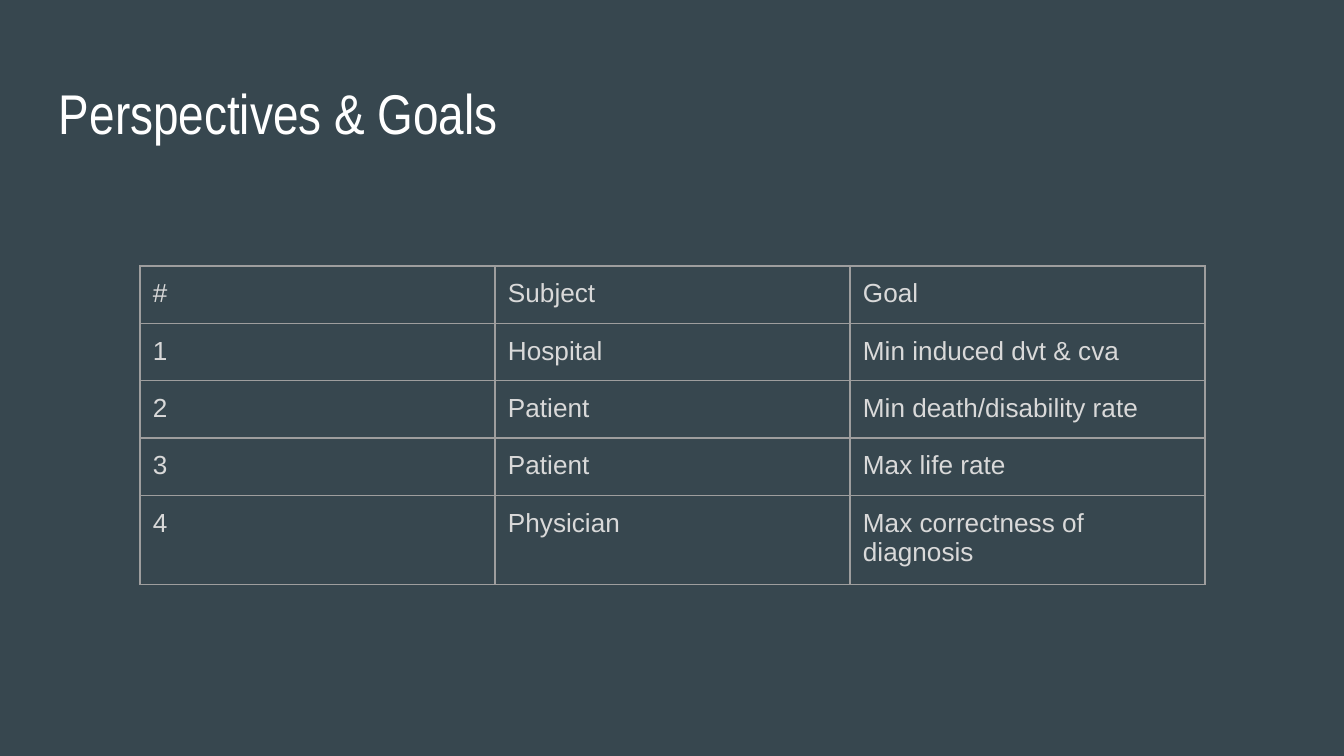
import pptx
import pptx.util
import pptx.dml.color
import pptx.enum.text
import pptx.oxml
import pptx.oxml.ns

SCALE = 914400 / 134.4  # EMU in one px


def px(n):
    return pptx.util.Emu(round(n * SCALE))


def color(hex):
    return pptx.dml.color.RGBColor.from_string(hex)


def write(frame, text, *, size, font, ink):
    frame.word_wrap = True
    run = frame.paragraphs[0].add_run()
    run.text = text
    run.font.size = pptx.util.Pt(size)
    run.font.name = font
    run.font.color.rgb = color(ink)


# Slide
deck = pptx.Presentation()
deck.slide_width, deck.slide_height = px(1344), px(756)
slide = deck.slides.add_slide(deck.slide_layouts[6])
slide.background.fill.solid()
slide.background.fill.fore_color.rgb = color("37474F")

# Title
PAD = px(13)
title = slide.shapes.add_textbox(px(46), px(66), px(1252), px(85)).text_frame
title.margin_left = title.margin_right = PAD
title.margin_top = title.margin_bottom = PAD
title.vertical_anchor = pptx.enum.text.MSO_ANCHOR.TOP
write(title, "Perspectives & Goals", size=30, font="Arial Narrow", ink="FFFFFF")

# Table
ROWS = [
    ("#", "Subject", "Goal"),
    ("1", "Hospital", "Min induced dvt & cva"),
    ("2", "Patient", "Min death/disability rate"),
    ("3", "Patient", "Max life rate"),
    ("4", "Physician", "Max correctness of diagnosis"),
]
WIDE, HIGH = 355, 56
table = slide.shapes.add_table(
    len(ROWS), 3, px(140), px(266), px(3 * WIDE), px(len(ROWS) * HIGH)
).table
table.first_row = table.horz_banding = False
for col in table.columns:
    col.width = px(WIDE)
for row in table.rows:
    row.height = px(HIGH)

# Cells, each with a thin border on all four sides
NS = pptx.oxml.ns.nsdecls("a")
for r, row in enumerate(ROWS):
    for c, text in enumerate(row):
        cell = table.cell(r, c)
        cell.margin_left = cell.margin_right = PAD
        cell.margin_top = cell.margin_bottom = PAD
        write(cell.text_frame, text, size=14, font="Arial", ink="D9D9D9")
        props = cell._tc.get_or_add_tcPr()
        for side in ("lnL", "lnR", "lnT", "lnB"):
            props.append(pptx.oxml.parse_xml(
                f'<a:{side} {NS} w="{pptx.util.Pt(0.75)}"><a:solidFill>'
                f'<a:srgbClr val="9E9E9E"/></a:solidFill></a:{side}>'))
        cell.fill.background()

deck.save("out.pptx")
